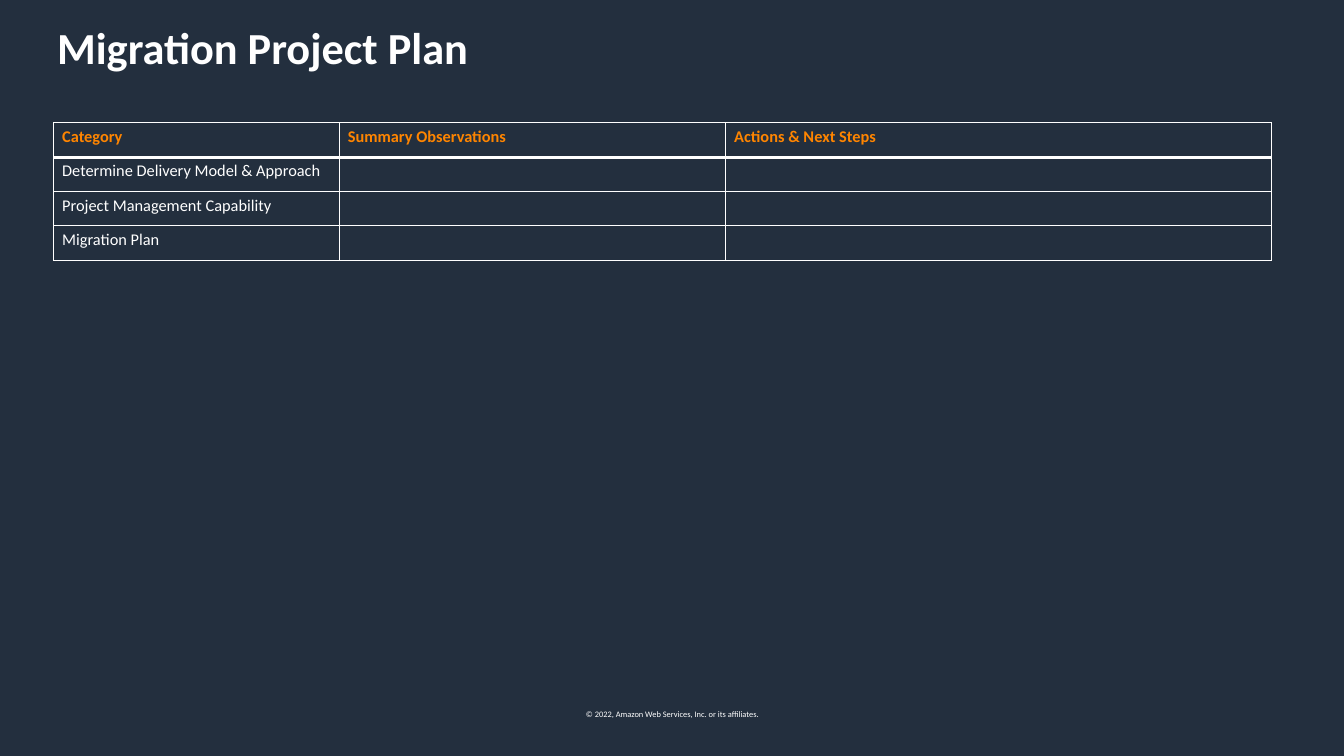
from dataclasses import dataclass

import pptx
import pptx.dml.color
import pptx.enum.text
import pptx.oxml
import pptx.oxml.ns
import pptx.util
from pptx.util import Inches

TITLE = "Migration Project Plan"
HEADINGS = ["Category", "Summary Observations", "Actions & Next Steps"]
CATEGORIES = [
    "Determine Delivery Model & Approach",
    "Project Management Capability",
    "Migration Plan",
]
COPYRIGHT = "© 2022, Amazon Web Services, Inc. or its affiliates."

COLUMN_WIDTHS = [3.4, 4.6, 6.5]
ROW_HEIGHT = 0.41


@dataclass(frozen=True)
class Theme:
    font: str = "Calibri"
    background: str = "232F3E"
    text: str = "FFFFFF"
    accent: str = "FF8500"
    title_size: float = 38
    table_size: float = 14
    copyright_size: float = 7.2
    border: float = 1
    heading_border: float = 3


THEME = Theme()


def write_text(frame, text, size, color=THEME.text, bold=False, align=pptx.enum.text.PP_ALIGN.LEFT):
    paragraph = frame.paragraphs[0]
    paragraph.alignment = align
    run = paragraph.add_run()
    run.text = text
    run.font.name = THEME.font
    run.font.size = pptx.util.Pt(size)
    run.font.bold = bold
    run.font.color.rgb = pptx.dml.color.RGBColor.from_string(color)


def set_borders(cell, top, bottom):
    """Draw all four cell borders; top and bottom are widths in points."""
    properties = cell._tc.get_or_add_tcPr()
    widths = {"lnL": THEME.border, "lnR": THEME.border, "lnT": top, "lnB": bottom}
    for side, width in widths.items():
        properties.append(pptx.oxml.parse_xml(
            f'<a:{side} {pptx.oxml.ns.nsdecls("a")} w="{pptx.util.Pt(width)}">'
            f'<a:solidFill><a:srgbClr val="{THEME.text}"/></a:solidFill></a:{side}>'
        ))


def add_title(slide):
    title = slide.shapes.title
    title.left, title.top = Inches(0.58), Inches(0.19)
    title.width, title.height = Inches(15.3), Inches(0.95)
    title.text_frame.vertical_anchor = pptx.enum.text.MSO_ANCHOR.TOP
    write_text(title.text_frame, TITLE, THEME.title_size, bold=True)


def add_plan_table(slide):
    rows = [HEADINGS] + [[category, "", ""] for category in CATEGORIES]
    table = slide.shapes.add_table(
        len(rows), len(HEADINGS), Inches(0.64), Inches(1.46),
        Inches(sum(COLUMN_WIDTHS)), Inches(ROW_HEIGHT * len(rows)),
    ).table
    table.horz_banding = False
    for column, width in zip(table.columns, COLUMN_WIDTHS):
        column.width = Inches(width)
    for row_index, texts in enumerate(rows):
        table.rows[row_index].height = Inches(ROW_HEIGHT)
        heading = row_index == 0
        for column_index, text in enumerate(texts):
            cell = table.cell(row_index, column_index)
            set_borders(
                cell,
                top=THEME.heading_border if row_index == 1 else THEME.border,
                bottom=THEME.heading_border if heading else THEME.border,
            )
            cell.fill.background()
            if text:
                write_text(cell.text_frame, text, THEME.table_size,
                           color=THEME.accent if heading else THEME.text, bold=heading)


def add_copyright(slide):
    box = slide.shapes.add_textbox(Inches(6.75), Inches(8.39), Inches(2.51), Inches(0.22))
    box.text_frame.word_wrap = False
    write_text(box.text_frame, COPYRIGHT, THEME.copyright_size,
               align=pptx.enum.text.PP_ALIGN.CENTER)


def main():
    presentation = pptx.Presentation()
    presentation.slide_width, presentation.slide_height = Inches(16), Inches(9)
    slide = presentation.slides.add_slide(presentation.slide_layouts.get_by_name("Title Only"))
    slide.background.fill.solid()
    slide.background.fill.fore_color.rgb = pptx.dml.color.RGBColor.from_string(THEME.background)
    add_copyright(slide)
    add_title(slide)
    add_plan_table(slide)
    presentation.save("out.pptx")


if __name__ == "__main__":
    main()
